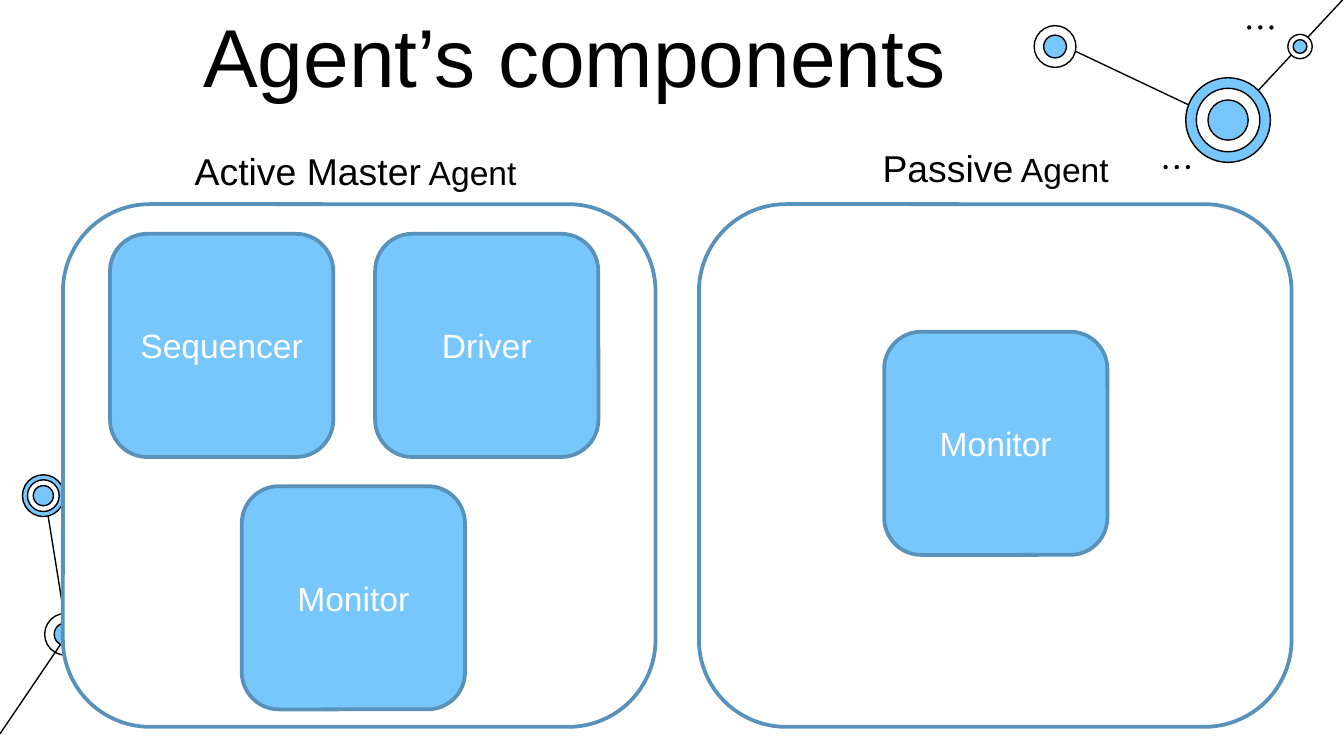
"""Build the slide that compares the components of active and passive agents."""
from typing import NamedTuple, Optional

from lxml.etree import SubElement
from pptx import Presentation
from pptx.dml.color import RGBColor
from pptx.enum.shapes import MSO_CONNECTOR as Connector, MSO_SHAPE as Preset
from pptx.enum.text import MSO_ANCHOR as Anchor, MSO_AUTO_SIZE as AutoSize, PP_ALIGN as Align
from pptx.oxml.ns import qn
from pptx.shapes.autoshape import Shape
from pptx.slide import Slide
from pptx.text.text import Font
from pptx.util import Cm, Pt

COLORS = {"black": "000000", "white": "FFFFFF", "sky": "77C6FC", "steel": "5892BA"}
FONT = "Arial"
PANEL_TOP, PANEL_WIDTH, PANEL_HEIGHT = 3.86, 11.2, 9.88
BOX_SIZE = 4.22
DOT_SIZE, DOT_PITCH = 0.08, 0.21


class Link(NamedTuple):
    x1: float
    y1: float
    x2: float
    y2: float


class Disc(NamedTuple):
    diameter: float
    fill: Optional[str]


class Node(NamedTuple):
    x: float
    y: float
    discs: tuple[Disc, ...]


class Box(NamedTuple):
    text: str
    left: float
    top: float


class Agent(NamedTuple):
    kind: str
    label_left: float
    label_top: float
    panel_left: float
    boxes: tuple[Box, ...]


LINKS = (
    Link(1.27, 11.99, 0.84, 9.32),
    Link(0, 13.87, 1.24, 12.04),
    Link(19.99, 0.81, 23.22, 2.34),
    Link(25.4, -0.03, 23.22, 2.31),
)
NODES = (
    Node(1.24, 11.99, (Disc(0.79, None), Disc(0.43, "sky"))),
    Node(0.82, 9.37, (Disc(0.79, "sky"), Disc(0.6, "white"), Disc(0.38, "sky"))),
    Node(23.21, 2.27, (Disc(1.6, "sky"), Disc(1.2, "white"), Disc(0.76, "sky"))),
    Node(19.94, 0.88, (Disc(0.79, "white"), Disc(0.43, "sky"))),
    Node(24.57, 0.88, (Disc(0.46, "white"), Disc(0.26, "sky"))),
)
DOT_STARTS = ((23.61, 0.52), (22.03, 3.16))
AGENTS = (
    Agent("Active Master", 3.43, 2.67, 1.19, (
        Box("Sequencer", 2.08, 4.42),
        Box("Driver", 7.09, 4.42),
        Box("Monitor", 4.57, 9.19),
    )),
    Agent("Passive", 16.43, 2.62, 13.21, (Box("Monitor", 16.71, 6.27),)),
)


def color(name: str) -> RGBColor:
    return RGBColor.from_string(COLORS[name])


def style_font(font: Font, size: float, name: str) -> None:
    font.name, font.size = FONT, Pt(size)
    font.color.rgb = color(name)


def add_shape(slide: Slide, preset: Preset, left: float, top: float, width: float,
              height: float, fill: Optional[str], line: Optional[str],
              line_width: float = 0.75) -> Shape:
    shape = slide.shapes.add_shape(preset, Cm(left), Cm(top), Cm(width), Cm(height))
    shape.shadow.inherit = False
    if fill:
        shape.fill.solid()
        shape.fill.fore_color.rgb = color(fill)
    else:
        shape.fill.background()
    if line:
        shape.line.color.rgb = color(line)
        shape.line.width = Pt(line_width)
    else:
        shape.line.fill.background()
    return shape


def add_circle(slide: Slide, x: float, y: float, diameter: float,
               fill: Optional[str], line: Optional[str]) -> None:
    add_shape(slide, Preset.OVAL, x - diameter / 2, y - diameter / 2,
              diameter, diameter, fill, line)


def add_link(slide: Slide, link: Link) -> None:
    connector = slide.shapes.add_connector(Connector.STRAIGHT, *map(Cm, link))
    connector.line.color.rgb = color("black")
    connector.line.width = Pt(0.75)
    SubElement(connector._element.spPr, qn("a:effectLst"))


def add_network(slide: Slide) -> None:
    for link in LINKS:
        add_link(slide, link)
    for node in NODES:
        for disc in node.discs:
            add_circle(slide, node.x, node.y, disc.diameter, disc.fill, "black")
    for x, y in DOT_STARTS:
        for index in range(3):
            add_circle(slide, x + index * DOT_PITCH, y, DOT_SIZE, "black", None)


def add_title(slide: Slide, text: str) -> None:
    title = slide.shapes.title
    title.left, title.top, title.width, title.height = map(Cm, (3.84, 0.03, 15.44, 2.24))
    frame = title.text_frame
    frame.text = text
    frame.auto_size = AutoSize.NONE
    frame.vertical_anchor = Anchor.MIDDLE
    frame.margin_left = frame.margin_right = frame.margin_top = frame.margin_bottom = 0
    paragraph = frame.paragraphs[0]
    paragraph.alignment = Align.LEFT
    paragraph.line_spacing = 0.9
    style_font(paragraph.font, 44, "black")


def add_box(slide: Slide, box: Box) -> None:
    shape = add_shape(slide, Preset.ROUNDED_RECTANGLE, box.left, box.top,
                      BOX_SIZE, BOX_SIZE, "sky", "steel", 2)
    frame = shape.text_frame
    frame.text = box.text
    frame.vertical_anchor = Anchor.MIDDLE
    paragraph = frame.paragraphs[0]
    paragraph.alignment = Align.CENTER
    style_font(paragraph.font, 18, "white")


def add_agent(slide: Slide, agent: Agent) -> None:
    add_shape(slide, Preset.ROUNDED_RECTANGLE, agent.panel_left, PANEL_TOP,
              PANEL_WIDTH, PANEL_HEIGHT, "white", "steel", 2)
    for box in agent.boxes:
        add_box(slide, box)
    label = slide.shapes.add_textbox(Cm(agent.label_left), Cm(agent.label_top), Cm(6.68), Cm(1.12))
    frame = label.text_frame
    frame.word_wrap = True
    frame.auto_size = AutoSize.SHAPE_TO_FIT_TEXT
    for text, size in ((agent.kind, 20), (" Agent", 18)):
        run = frame.paragraphs[0].add_run()
        run.text = text
        style_font(run.font, size, "black")


def main() -> None:
    presentation = Presentation()
    presentation.slide_width, presentation.slide_height = Cm(25.4), Cm(14.29)
    slide = presentation.slides.add_slide(presentation.slide_layouts[5])
    add_network(slide)
    add_title(slide, "Agent’s components")
    for agent in AGENTS:
        add_agent(slide, agent)
    presentation.save("out.pptx")


if __name__ == "__main__":
    main()
